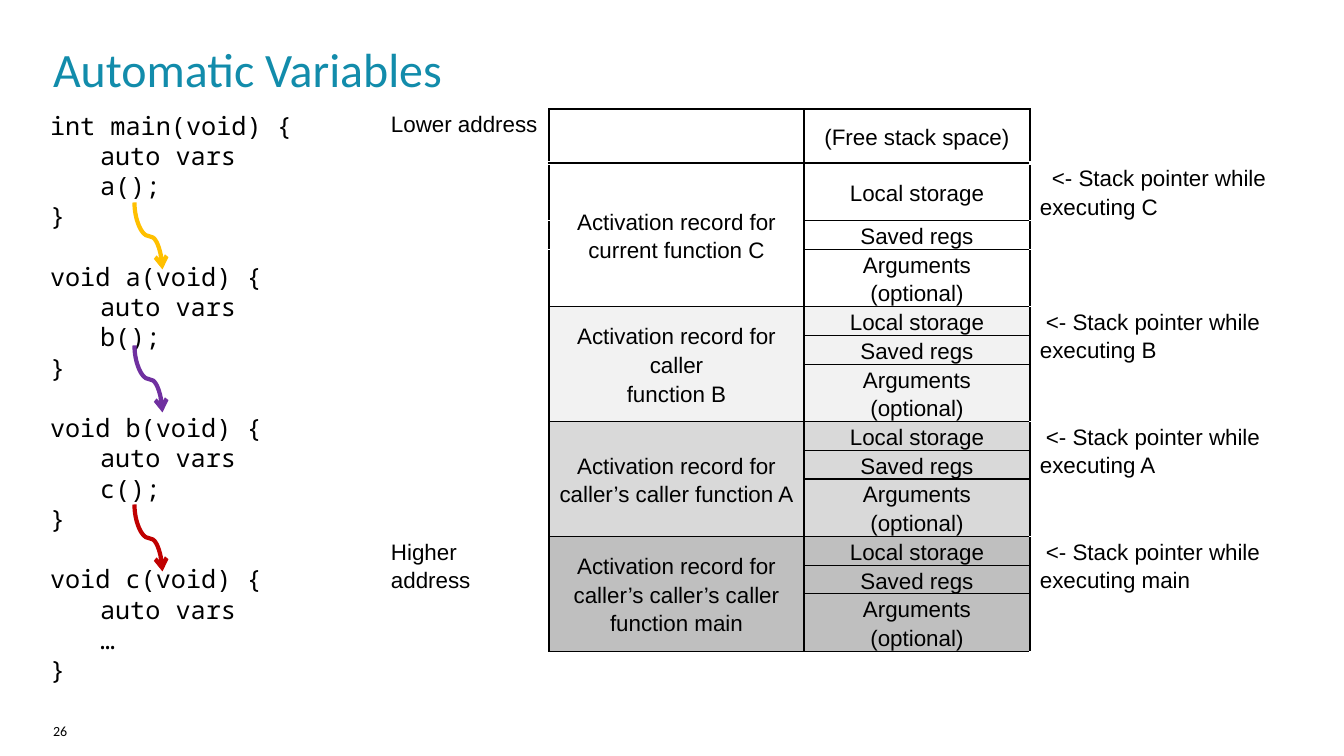
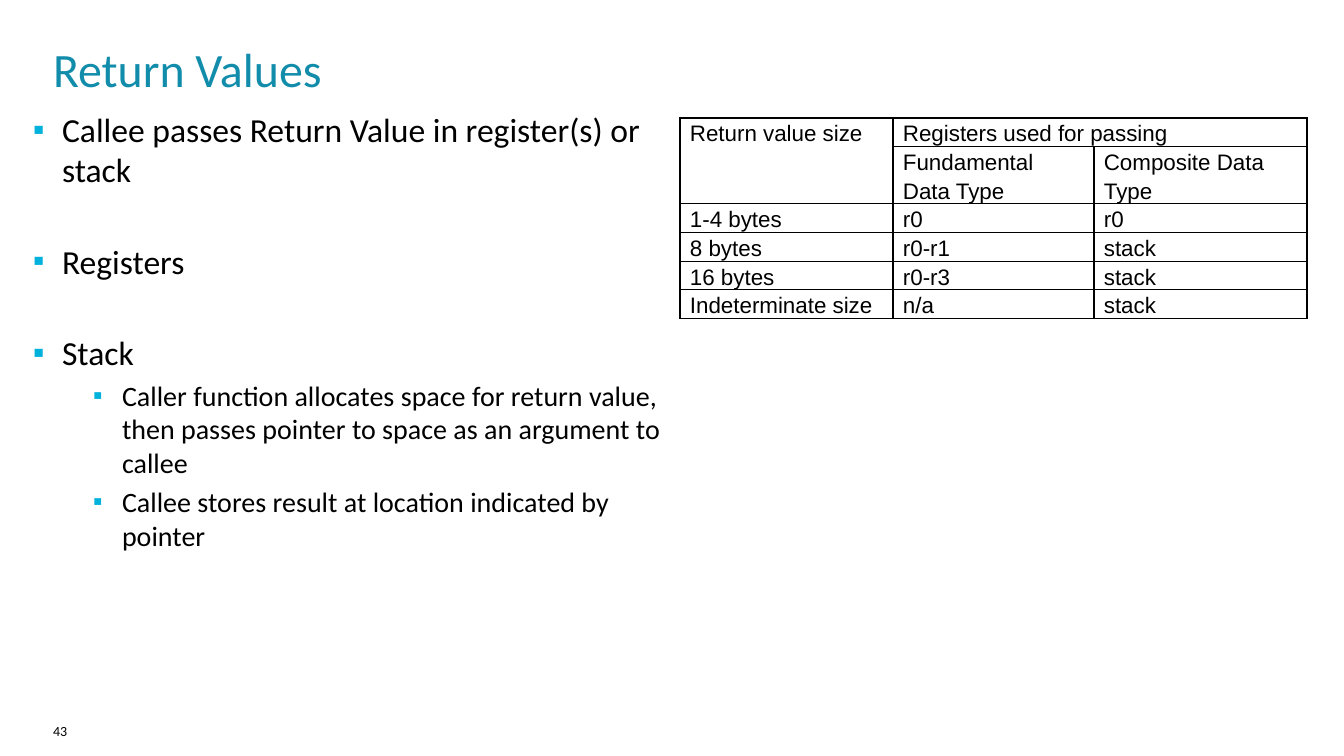
from dataclasses import dataclass

from lxml import etree
from pptx import Presentation
from pptx.dml.color import RGBColor
from pptx.enum.shapes import MSO_CONNECTOR
from pptx.enum.text import MSO_ANCHOR, MSO_AUTO_SIZE, PP_ALIGN
from pptx.oxml.ns import qn
from pptx.util import Emu, Pt

LEFT, CENTER = PP_ALIGN.LEFT, PP_ALIGN.CENTER
TOP, MIDDLE = MSO_ANCHOR.TOP, MSO_ANCHOR.MIDDLE
NO_AUTOFIT = MSO_AUTO_SIZE.NONE
CURVE = MSO_CONNECTOR.CURVE

EMU_PER_PX = 914400 / 100.8
SLIDE_WIDTH, SLIDE_HEIGHT = 1344, 756
TITLE_ONLY, TITLE_AND_BODY = 5, 1

BLACK, WHITE = "000000", "FFFFFF"
TITLE_BLUE, BULLET_BLUE = "128CAB", "00B1DB"
HEADING_FONT, TABLE_FONT, CODE_FONT = "Calibri", "Arial", "Noto Sans Mono"
TABLE_SIZE = 16
CODE_SIZE, CODE_LINE, CODE_INDENT = 18, 21.6, 50
BULLET_HANG = 29


@dataclass(frozen=True)
class Cell:
    row: int
    column: int
    text: str
    align: PP_ALIGN = LEFT
    anchor: MSO_ANCHOR = TOP
    fill: str | None = None
    row_span: int = 1
    column_span: int = 1
    indent: int = 0


@dataclass(frozen=True)
class StackRecord:
    owner: str
    function: str
    fill: str | None
    indent: int
    merged_columns: tuple[int, ...]


@dataclass(frozen=True)
class Bullet:
    text: str
    level: int = 0
    space_before: float = 4


@dataclass(frozen=True)
class CallArrow:
    top: int
    color: str


RECORDS = (
    StackRecord("current function C", "C", None, 12, (1,)),
    StackRecord("caller\nfunction B", "B", "F2F2F2", 6, (0, 1, 3)),
    StackRecord("caller’s caller function A", "A", "D9D9D9", 6, (0, 1, 3)),
    StackRecord("caller’s caller’s caller function main", "main", "BFBFBF", 6, (0, 1, 3)),
)
RECORD_PARTS = ("Local storage", "Saved regs", "Arguments (optional)")
FUNCTIONS = (
    ("int main", "a();"),
    ("void a", "b();"),
    ("void b", "c();"),
    ("void c", "…"),
)
CALL_ARROWS = (CallArrow(202, "FFC000"), CallArrow(345, "7030A0"), CallArrow(504, "C00000"))

BULLETS = (
    Bullet("Callee passes Return Value in register(s) or stack"),
    Bullet("Registers", space_before=36.5),
    Bullet("Stack", space_before=36.5),
    Bullet(
        "Caller function allocates space for return value, "
        "then passes pointer to space as an argument to callee",
        level=1,
    ),
    Bullet("Callee stores result at location indicated by pointer", level=1),
)
RETURN_ROWS = (
    ("1-4 bytes", "r0", "r0"),
    ("8 bytes", "r0-r1", "stack"),
    ("16 bytes", "r0-r3", "stack"),
    ("Indeterminate size", "n/a", "stack"),
)


def px(length: int) -> Emu:
    return Emu(round(length * EMU_PER_PX))


def color(value: str) -> RGBColor:
    return RGBColor.from_string(value)


def add_xml(parent, tag: str, **attributes: str):
    return etree.SubElement(parent, qn(tag), attributes)


def write_text(paragraph, text: str, *, size: float, font: str, text_color: str = BLACK,
               align: PP_ALIGN = LEFT, line_spacing=None, space_before: float = 0,
               margin: int = 0, indent: int = 0) -> None:
    paragraph.alignment = align
    paragraph.space_before = Pt(space_before)
    if line_spacing is not None:
        paragraph.line_spacing = line_spacing
    properties = paragraph._p.get_or_add_pPr()
    properties.set("marL", str(px(margin)))
    properties.set("indent", str(px(indent)))
    if not text:
        paragraph._p.get_or_add_endParaRPr().set("sz", str(size * 100))
        return
    for number, line in enumerate(text.split("\n")):
        if number:
            paragraph.add_line_break()
        run = paragraph.add_run()
        run.text = line
        run.font.size = Pt(size)
        run.font.name = font
        run.font.color.rgb = color(text_color)


def place(shape, left: int, top: int, width: int, height: int) -> None:
    shape.left, shape.top, shape.width, shape.height = map(px, (left, top, width, height))


def format_frame(frame, anchor: MSO_ANCHOR = TOP, left: int = 0, top: int = 0,
                 right: int = 0, bottom: int = 0) -> None:
    frame.word_wrap = True
    frame.auto_size = NO_AUTOFIT
    frame.vertical_anchor = anchor
    frame.margin_left, frame.margin_top = px(left), px(top)
    frame.margin_right, frame.margin_bottom = px(right), px(bottom)


def add_text_box(slide, left: int, top: int, width: int, height: int):
    return slide.shapes.add_textbox(px(left), px(top), px(width), px(height)).text_frame


def add_slide(presentation, layout: int, title: str, number: int):
    slide = presentation.slides.add_slide(presentation.slide_layouts[layout])
    shape = slide.shapes.title
    place(shape, 53, 37, 1230, 63)
    format_frame(shape.text_frame, MIDDLE)
    write_text(shape.text_frame.paragraphs[0], title, size=34.2, font=HEADING_FONT,
               text_color=TITLE_BLUE)
    frame = add_text_box(slide, 53, 723, 143, 26)
    format_frame(frame, right=10)
    write_text(frame.paragraphs[0], str(number), size=10, font=HEADING_FONT)
    return slide


def set_border(cell, side: str, line_color: str, width: int) -> None:
    line = add_xml(cell._tc.get_or_add_tcPr(), f"a:ln{side}", w=str(Pt(width)))
    add_xml(add_xml(line, "a:solidFill"), "a:srgbClr", val=line_color)


def add_table(slide, left: int, top: int, widths: list[int], heights: list[int],
              cells: list[Cell], closed_sides: dict[int, str] | None = None) -> None:
    closed_sides = closed_sides or {}
    table = slide.shapes.add_table(len(heights), len(widths), px(left), px(top),
                                   px(sum(widths)), px(sum(heights))).table
    table.first_row = table.horz_banding = False
    for column, width in zip(table.columns, widths):
        column.width = px(width)
    for row, height in zip(table.rows, heights):
        row.height = px(height)
    contents = {(cell.row, cell.column): cell for cell in cells}
    for row in range(len(heights)):
        for column in range(len(widths)):
            content = contents.get((row, column), Cell(row, column, ""))
            cell = table.cell(row, column)
            for side in "LRTB":
                visible = side in closed_sides.get(column, "LRTB")
                thick = not visible and side == "B" and row == 0
                set_border(cell, side, BLACK if visible else WHITE, 3 if thick else 1)
            if content.fill:
                cell.fill.solid()
                cell.fill.fore_color.rgb = color(content.fill)
            else:
                cell.fill.background()
            cell.vertical_anchor = content.anchor
            cell.margin_left = cell.margin_right = px(10)
            cell.margin_top = cell.margin_bottom = 0
            write_text(cell.text_frame.paragraphs[0], content.text, size=TABLE_SIZE,
                       font=TABLE_FONT, align=content.align, line_spacing=1.15,
                       indent=content.indent)
    for cell in cells:
        if cell.row_span > 1 or cell.column_span > 1:
            last = table.cell(cell.row + cell.row_span - 1, cell.column + cell.column_span - 1)
            table.cell(cell.row, cell.column).merge(last)


def stack_cells() -> list[Cell]:
    cells = [
        Cell(0, 0, "Lower address"),
        Cell(0, 2, "(Free stack space)", CENTER, MIDDLE),
    ]
    part_count = len(RECORD_PARTS)
    for index, record in enumerate(RECORDS):
        row = 1 + index * part_count
        spans = {column: part_count for column in record.merged_columns}
        address = "Higher address" if record is RECORDS[-1] else ""
        cells += [
            Cell(row, 0, address, row_span=spans.get(0, 1)),
            Cell(row, 1, f"Activation record for {record.owner}", CENTER, MIDDLE,
                 record.fill, spans[1]),
            Cell(row, 3, f"<- Stack pointer while executing {record.function}",
                 row_span=spans.get(3, 1), indent=record.indent),
        ]
        cells += [Cell(row + offset, 2, part, CENTER, MIDDLE, record.fill)
                  for offset, part in enumerate(RECORD_PARTS)]
    return cells


def add_code(slide) -> None:
    frame = add_text_box(slide, 40, 105, 508, 591)
    format_frame(frame, left=10, top=5, right=10, bottom=5)
    paragraph = frame.paragraphs[0]
    for index, (signature, call) in enumerate(FUNCTIONS):
        lines = ((f"{signature}(void) {{", 0), ("auto vars", CODE_INDENT),
                 (call, CODE_INDENT), ("}", 0))
        for number, (line, margin) in enumerate(lines):
            if index or number:
                paragraph = frame.add_paragraph()
            write_text(paragraph, line, size=CODE_SIZE, font=CODE_FONT, margin=margin,
                       line_spacing=Pt(CODE_LINE),
                       space_before=CODE_LINE if index and number == 0 else 0)


def add_call_arrow(slide, arrow: CallArrow) -> None:
    left, top, width, height = 115, arrow.top + 20, 67, 28
    connector = slide.shapes.add_connector(CURVE, px(left + width), px(top),
                                           px(left), px(top + height))
    connector.line.color.rgb = color(arrow.color)
    connector.line.width = Pt(3)
    properties = connector._element.spPr
    properties.find(qn("a:xfrm")).set("rot", str(270 * 60000))
    add_xml(properties.find(qn("a:ln")), "a:tailEnd", type="arrow")
    add_xml(properties, "a:effectLst")


def add_bullets(slide) -> None:
    body = slide.placeholders[1]
    place(body, 33, 109, 638, 630)
    frame = body.text_frame
    format_frame(frame)
    for index, bullet in enumerate(BULLETS):
        paragraph = frame.add_paragraph() if index else frame.paragraphs[0]
        paragraph.level = bullet.level
        write_text(paragraph, bullet.text, size=20 if bullet.level else 24, font=HEADING_FONT,
                   space_before=bullet.space_before, indent=-BULLET_HANG,
                   margin=BULLET_HANG + 60 * bullet.level)
        properties = paragraph._p.get_or_add_pPr()
        add_xml(add_xml(properties, "a:buClr"), "a:srgbClr", val=BULLET_BLUE)
        add_xml(properties, "a:buSzPct", val="95000")
        add_xml(properties, "a:buFont", typeface=HEADING_FONT)
        add_xml(properties, "a:buChar", char="▪")


def build_automatic_variables(presentation) -> None:
    slide = add_slide(presentation, TITLE_ONLY, "Automatic Variables", 26)
    heights = [54, 57, 29, 57] + [29, 28, 57] * (len(RECORDS) - 1)
    add_table(slide, 381, 109, [168, 255, 226, 303], heights, stack_cells(),
              closed_sides={0: "R", 3: "L"})
    add_code(slide)
    for arrow in CALL_ARROWS:
        add_call_arrow(slide, arrow)


def build_return_values(presentation) -> None:
    slide = add_slide(presentation, TITLE_AND_BODY, "Return Values", 43)
    add_bullets(slide)
    cells = [
        Cell(0, 0, "Return value size", row_span=2),
        Cell(0, 1, "Registers used for passing", column_span=2),
        Cell(1, 1, "Fundamental Data Type"),
        Cell(1, 2, "Composite Data Type"),
    ]
    cells += [Cell(row, column, text) for row, texts in enumerate(RETURN_ROWS, 2)
              for column, text in enumerate(texts)]
    add_table(slide, 680, 118, [213, 201, 213], [28, 57] + [28] * len(RETURN_ROWS), cells)


def main() -> None:
    presentation = Presentation()
    presentation.slide_width, presentation.slide_height = px(SLIDE_WIDTH), px(SLIDE_HEIGHT)
    build_automatic_variables(presentation)
    build_return_values(presentation)
    presentation.save("out.pptx")


if __name__ == "__main__":
    main()
